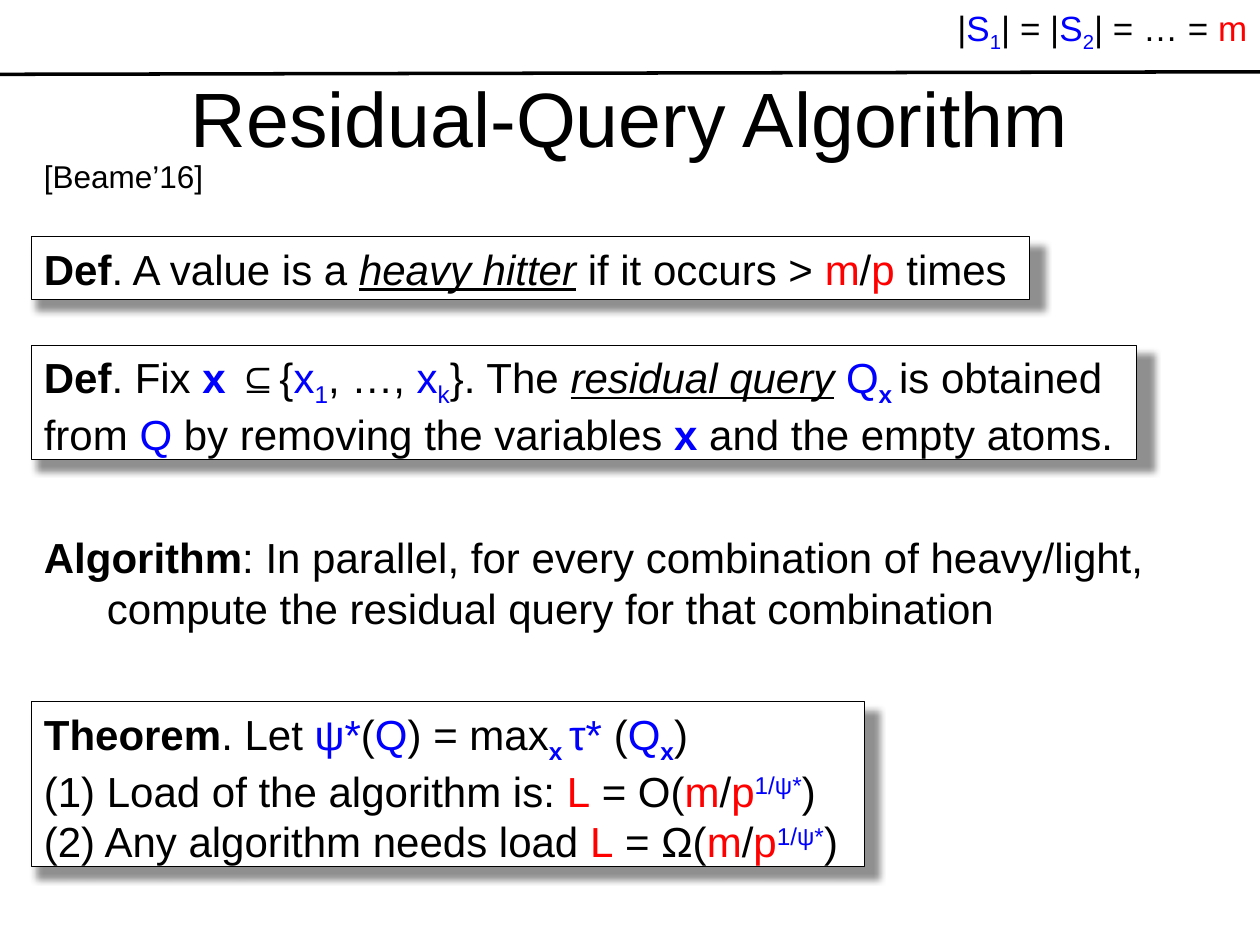
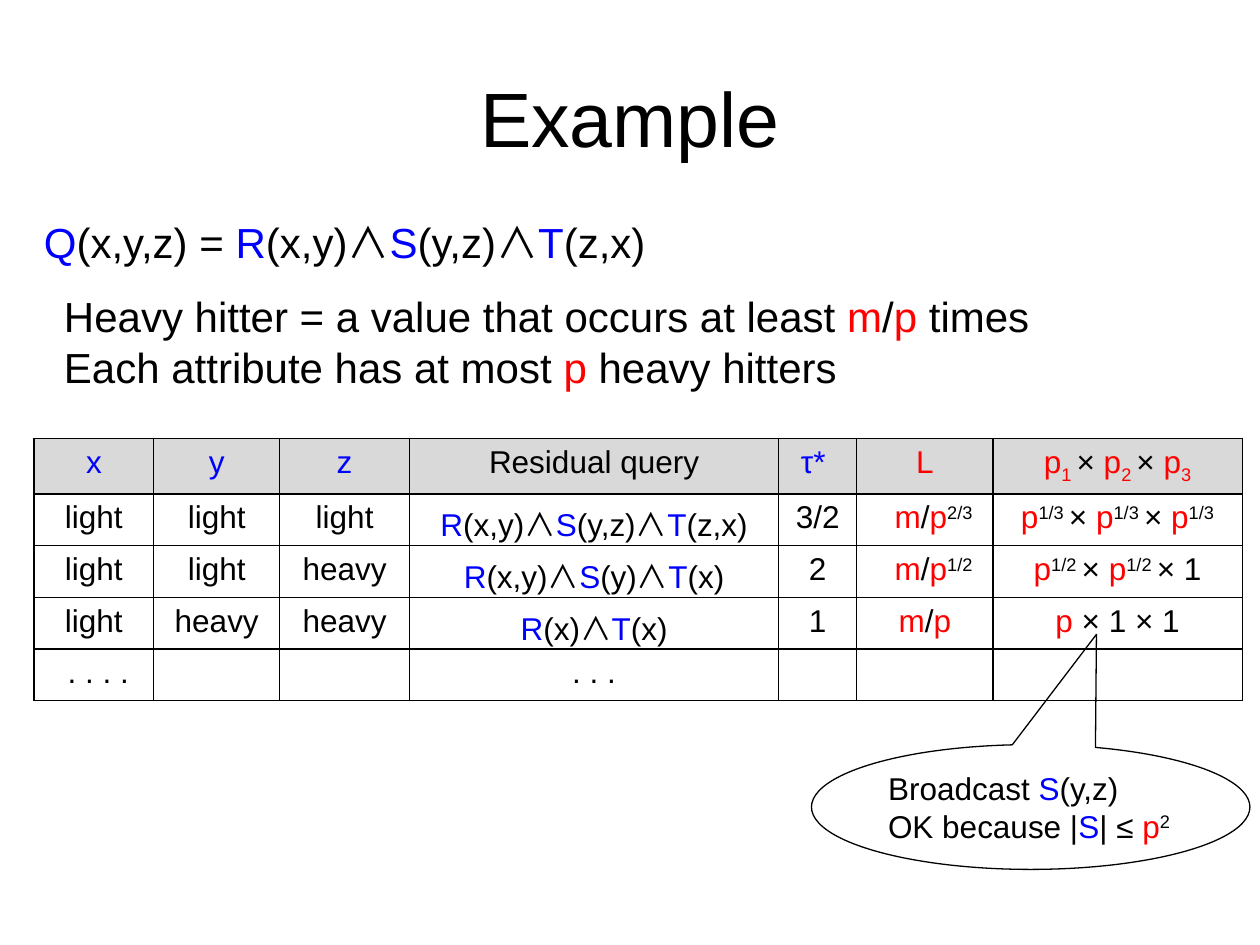
import lxml.etree
import pptx
import pptx.dml.color
import pptx.enum.shapes
import pptx.enum.text
import pptx.oxml.ns
import pptx.util

Inches, Pt = pptx.util.Inches, pptx.util.Pt
qn = pptx.oxml.ns.qn
SHAPE = pptx.enum.shapes.MSO_SHAPE
ANCHOR = pptx.enum.text.MSO_ANCHOR
CENTER = pptx.enum.text.PP_ALIGN.CENTER

BLACK = pptx.dml.color.RGBColor(0, 0, 0)
WHITE = pptx.dml.color.RGBColor(255, 255, 255)
BLUE = pptx.dml.color.RGBColor(0, 0, 255)
RED = pptx.dml.color.RGBColor(255, 0, 0)
HEADER_GREY = pptx.dml.color.RGBColor(0xD9, 0xD9, 0xD9)
FONT, SYMBOL_FONT = "Arial", "Noto Sans CJK JP"
TITLE_SIZE, BODY_SIZE, SIZES_SIZE, SMALL_SIZE = 44, 24, 20, 18

# Markup: ~flags:text~ styles a span; flags are b(lue), r(ed), B(old),
# I(talic underlined), s(ymbol font), _ subscript, ^ superscript.
AND = "~s:∧~"
TITLE_BOX = (0.5, 0.3, 9, 1.25)

RESIDUAL_TITLE = "Residual-Query Algorithm"
RELATION_SIZES = ((7.5, 0, 2.5, 0.44), ["|~b:S~~b_:1~| = |~b:S~~b_:2~| = … = ~r:m~"])
CITATION = ((0.25, 1.2, 1.48, 0.4), ["[Beame’16]"])
ALGORITHM = ((0.25, 4.17, 9.11, 0.91), [
    "~B:Algorithm~: In parallel, for every combination of heavy/light,\n"
    "\tcompute the residual query for that combination"])
STATEMENTS = [
    ((0.25, 2.74, 8.77, 0.91), [
        "~B:Def~. Fix ~bB:x ~⊆{~b:x~~b_:1~, …, ~b:x~~b_:k~}. The ~I:residual query~ "
        "~b:Q~~bB_:x ~is obtained \n"
        "from ~b:Q~ by removing the variables ~bB:x~ and the empty atoms."]),
    ((0.25, 1.88, 7.92, 0.5), [
        "~B:Def~. A value is a ~I:heavy hitter~ if it occurs > ~r:m~/~r:p~ times"]),
    ((0.25, 5.57, 6.61, 1.31), [
        "~B:Theorem~. Let ~b:ψ*~(~b:Q~) = max~bB_:x ~~b:τ* ~(~b:Q~~bB_:x~)",
        "(1) Load of the algorithm is: ~r:L~ = O(~r:m~/~r:p~~b^:1/ψ*~)",
        "(2) Any algorithm needs load ~r:L~ = Ω(~r:m~/~r:p~~b^:1/ψ*~)"]),
]

EXAMPLE_TITLE = "Example"
QUERY = ((0.25, 1.67, 5.02, 0.5), [
    f"~b:Q~(x,y,z) = ~b:R~(x,y){AND}~b:S~(y,z){AND}~b:T~(z,x)"])
HEAVY_HITTERS = ((0.41, 2.26, 7.94, 0.91), [
    "Heavy hitter = a value that occurs at least ~r:m~/~r:p ~times\n"
    "Each attribute has at most ~r:p~ heavy hitters"])
BROADCAST = ((6.44, 5.91, 3.48, 0.99), [
    "Broadcast ~b:S~(y,z)\nOK because |~b:S~| ≤ ~r:p~~^:2~"])
CALLOUT_TIP = (0.15, -1.384)

TABLE_LEFT, TABLE_TOP, ROW_HEIGHT = 0.27, 3.48, 0.41
COLUMN_WIDTHS = [0.95, 1, 1.03, 2.93, 0.62, 1.08, 1.98]
LOAD_COLUMN = 5
LOAD_SHIFT = 0.14
CASES = [
    ["~b:x~", "~b:y~", "~b:z~", "Residual query", "~b:τ* ~", "~r:L~",
     "~r:p~~r_:1 ~× ~r:p~~r_:2 ~× ~r:p~~r_:3~"],
    ["light", "light", "light", f"~b:R~(x,y){AND}~b:S~(y,z){AND}~b:T~(z,x)", "3/2",
     "~r:m~/~r:p~~^:2/3~", "~r:p~~^:1/3 ~× ~r:p~~^:1/3 ~× ~r:p~~^:1/3~"],
    ["light", "light", "heavy", f"~b:R~(x,y){AND}~b:S~(y){AND}~b:T~(x)", "2",
     "~r:m~/~r:p~~^:1/2~", "~r:p~~^:1/2 ~× ~r:p~~^:1/2 ~× 1"],
    ["light", "heavy", "heavy", f"~b:R~(x){AND}~b:T~(x)", "1",
     "~r:m~/~r:p~", "~r:p ~× 1 × 1"],
    [" . . . .", "", "", ". . .", "", "", ""],
]


def add_span(p, text, flags, size):
    for i, line in enumerate(text.split("\n")):
        if i:
            p.add_line_break()
        if not line:
            continue
        r = p.add_run()
        r.text = line
        font = r.font
        font.size = Pt(size)
        font.name = SYMBOL_FONT if "s" in flags else FONT
        font.color.rgb = BLUE if "b" in flags else RED if "r" in flags else BLACK
        font.bold = "B" in flags
        if "I" in flags:
            font.italic = font.underline = True
        rPr = r._r.get_or_add_rPr()
        if "s" in flags:
            lxml.etree.SubElement(rPr, qn("a:ea"), typeface=SYMBOL_FONT)
        if "_" in flags:
            rPr.set("baseline", "-25000")
        elif "^" in flags:
            rPr.set("baseline", "30000")


def write_marked(tf, paragraphs, size, align=None):
    """Fill a text frame from marked-up paragraphs."""
    for i, marked in enumerate(paragraphs):
        p = tf.add_paragraph() if i else tf.paragraphs[0]
        if align is not None:
            p.alignment = align
        if "\t" in marked:
            tabs = lxml.etree.SubElement(p._p.get_or_add_pPr(), qn("a:tabLst"))
            lxml.etree.SubElement(tabs, qn("a:tab"), pos=str(Inches(0.5)), algn="l")
        for k, piece in enumerate(marked.split("~")):
            flags, text = piece.split(":", 1) if k % 2 else ("", piece)
            add_span(p, text, flags, size)


def fit_text(sp, paragraphs, size):
    tf = sp.text_frame
    tf.word_wrap = False
    tf.auto_size = pptx.enum.text.MSO_AUTO_SIZE.SHAPE_TO_FIT_TEXT
    tf.vertical_anchor = ANCHOR.TOP
    write_marked(tf, paragraphs, size, pptx.enum.text.PP_ALIGN.LEFT)


def add_text(s, content, size=BODY_SIZE):
    box, paragraphs = content
    fit_text(s.shapes.add_textbox(*map(Inches, box)), paragraphs, size)


def add_outlined(s, kind, box):
    sp = s.shapes.add_shape(kind, *map(Inches, box))
    sp.shadow.inherit = False
    sp.line.color.rgb = BLACK
    sp.line.width = Pt(0.75)
    return sp


def add_statement(s, box, paragraphs):
    """Add a white box with a drop shadow."""
    sp = add_outlined(s, SHAPE.RECTANGLE, box)
    sp.fill.solid()
    sp.fill.fore_color.rgb = WHITE
    effects = sp._element.spPr.find(qn("a:effectLst"))
    shadow = lxml.etree.SubElement(
        effects, qn("a:outerShdw"), blurRad=str(Pt(4)), dist=str(Pt(6)),
        dir=str(62 * 60000), sx="101000", sy="101000", algn="tl", rotWithShape="0")
    color = lxml.etree.SubElement(shadow, qn("a:srgbClr"), val=str(BLACK))
    lxml.etree.SubElement(color, qn("a:alpha"), val="43000")
    fit_text(sp, paragraphs, BODY_SIZE)


def add_titled_slide(prs, title):
    s = prs.slides.add_slide(prs.slide_layouts[6])
    tf = s.shapes.add_textbox(*map(Inches, TITLE_BOX)).text_frame
    tf.word_wrap = True
    tf.vertical_anchor = ANCHOR.MIDDLE
    write_marked(tf, [title], TITLE_SIZE, CENTER)
    return s


def add_borders(cell):
    tcPr = cell._tc.get_or_add_tcPr()
    for i, side in enumerate("LRTB"):
        ln = lxml.etree.Element(qn(f"a:ln{side}"), w=str(Pt(1)))
        fill = lxml.etree.SubElement(ln, qn("a:solidFill"))
        lxml.etree.SubElement(fill, qn("a:srgbClr"), val=str(BLACK))
        tcPr.insert(i, ln)


def add_case_table(s):
    table = s.shapes.add_table(
        len(CASES), len(COLUMN_WIDTHS), Inches(TABLE_LEFT), Inches(TABLE_TOP),
        Inches(sum(COLUMN_WIDTHS)), Inches(ROW_HEIGHT * len(CASES))).table
    table.first_row = table.horz_banding = False
    for column, width in zip(table.columns, COLUMN_WIDTHS):
        column.width = Inches(width)
    for i, case in enumerate(CASES):
        table.rows[i].height = Inches(ROW_HEIGHT)
        for j, marked in enumerate(case):
            cell = table.cell(i, j)
            if i == 0:
                cell.fill.solid()
                cell.fill.fore_color.rgb = HEADER_GREY
            else:
                cell.fill.background()
            add_borders(cell)
            if j == LOAD_COLUMN and "^" in marked:
                cell.margin_left = Inches(0.1 + LOAD_SHIFT)
            write_marked(cell.text_frame, [marked], SMALL_SIZE, CENTER)


def build_residual_slide(prs):
    s = add_titled_slide(prs, RESIDUAL_TITLE)
    add_text(s, ALGORITHM)
    for box, paragraphs in STATEMENTS:
        add_statement(s, box, paragraphs)
    rule = s.shapes.add_connector(
        pptx.enum.shapes.MSO_CONNECTOR.STRAIGHT,
        Inches(0), Inches(0.59), Inches(10), Inches(0.57))
    rule.line.color.rgb = BLACK
    rule.line.width = Pt(2)
    lxml.etree.SubElement(rule._element.spPr, qn("a:effectLst"))
    add_text(s, RELATION_SIZES, SIZES_SIZE)
    add_text(s, CITATION, SMALL_SIZE)


def build_example_slide(prs):
    s = add_titled_slide(prs, EXAMPLE_TITLE)
    add_text(s, QUERY)
    add_case_table(s)
    box, paragraphs = BROADCAST
    callout = add_outlined(s, SHAPE.OVAL_CALLOUT, box)
    callout.fill.background()
    for i, offset in enumerate(CALLOUT_TIP):
        callout.adjustments[i] = offset
    fit_text(callout, paragraphs, SMALL_SIZE)
    add_text(s, HEAVY_HITTERS)


def main():
    prs = pptx.Presentation()
    prs.slide_width, prs.slide_height = Inches(10), Inches(7.5)
    build_residual_slide(prs)
    build_example_slide(prs)
    prs.save("out.pptx")


if __name__ == "__main__":
    main()
